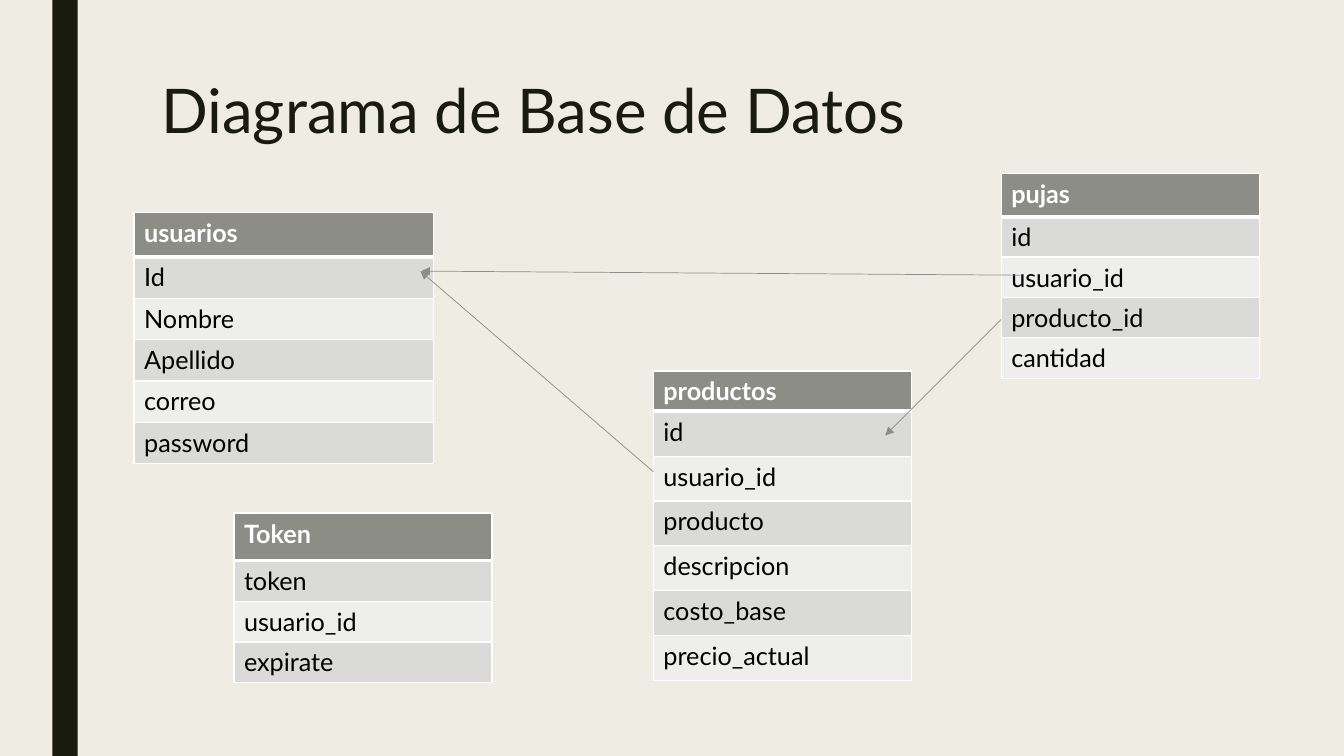
from lxml import etree
from pptx import Presentation
from pptx.dml.color import RGBColor
from pptx.enum.shapes import MSO_CONNECTOR, MSO_SHAPE
from pptx.enum.text import MSO_ANCHOR, PP_ALIGN
from pptx.oxml import parse_xml
from pptx.oxml.ns import nsdecls, qn
from pptx.util import Inches, Pt

RECT = MSO_SHAPE.RECTANGLE
STRAIGHT = MSO_CONNECTOR.STRAIGHT
TOP = MSO_ANCHOR.TOP
LEFT = PP_ALIGN.LEFT

CREAM = RGBColor(0xEF, 0xED, 0xE3)
DARK = RGBColor(0x19, 0x1B, 0x0E)
GRAY = RGBColor(0x8C, 0x8D, 0x86)
BAND = RGBColor(0xDA, 0xDB, 0xD9)
PALE = RGBColor(0xEE, 0xEE, 0xED)
WHITE = RGBColor(0xFF, 0xFF, 0xFF)
BLACK = RGBColor(0, 0, 0)
FONT = "Lato"

# left, top, width, header height, row height, header, fields
TABLES = [
    (1.33, 2.11, 2.97, 0.44, 0.41, "usuarios",
     ["Id", "Nombre", "Apellido", "correo", "password"]),
    (9.93, 1.72, 2.56, 0.43, 0.4, "pujas",
     ["id", "usuario_id", "producto_id", "cantidad"]),
    (6.48, 3.68, 2.56, 0.4, 0.445, "productos",
     ["id", "usuario_id", "producto", "descripcion", "costo_base",
      "precio_actual"]),
    (2.32, 5.09, 2.56, 0.47, 0.405, "Token",
     ["token", "usuario_id", "expirate"]),
]

# start x, start y, end x, end y
LINKS = [
    (6.48, 4.68, 4.17, 2.69),
    (9.93, 3.17, 8.78, 4.32),
    (10.12, 2.73, 4.18, 2.69),
]


def style(para, size, color, bold=False):
    for run in para.runs:
        font = run.font
        font.name, font.size, font.bold = FONT, Pt(size), bold
        font.color.rgb = color


def add_edges(cell, top, bottom):
    """Draw white borders, with the top and bottom widths in points."""
    props = cell._tc.get_or_add_tcPr()
    sides = [("L", 1), ("R", 1), ("T", top), ("B", bottom)]
    for spot, (side, width) in enumerate(sides):
        props.insert(spot, parse_xml(
            f'<a:ln{side} {nsdecls("a")} w="{Pt(width)}"><a:solidFill>'
            f'<a:srgbClr val="{WHITE}"/></a:solidFill></a:ln{side}>'))


def add_entity(slide, left, top, width, head, step, name, fields):
    """Draw one database table: a header and its banded fields."""
    rows = [name] + fields
    high = head + step * len(fields)
    frame = slide.shapes.add_table(len(rows), 1, Inches(left), Inches(top),
                                   Inches(width), Inches(high))
    table = frame.table
    table.horz_banding = False
    for i, text in enumerate(rows):
        table.rows[i].height = Inches(step if i else head)
        cell = table.cell(i, 0)
        cell.text_frame.text = text
        style(cell.text_frame.paragraphs[0], 18, BLACK if i else WHITE, i == 0)
        cell.fill.solid()
        cell.fill.fore_color.rgb = (BAND if i % 2 else PALE) if i else GRAY
        add_edges(cell, 3 if i == 1 else 1, 1 if i else 3)


def add_link(slide, x1, y1, x2, y2):
    link = slide.shapes.add_connector(STRAIGHT, Inches(x1), Inches(y1),
                                      Inches(x2), Inches(y2))
    link.line.color.rgb = GRAY
    link.line.width = Pt(0.5)
    etree.SubElement(link.line._get_or_add_ln(), qn("a:tailEnd"),
                     type="triangle")
    etree.SubElement(link._element.spPr, qn("a:effectLst"))


def add_stripe(slide, left, top, width, height):
    bar = slide.shapes.add_shape(RECT, Inches(left), Inches(top),
                                 Inches(width), Inches(height))
    bar.shadow.inherit = False
    bar.fill.solid()
    bar.fill.fore_color.rgb = DARK
    bar.line.fill.background()


def set_title(slide, left, top, width, height):
    title = slide.shapes.title
    title.left, title.top = Inches(left), Inches(top)
    title.width, title.height = Inches(width), Inches(height)
    frame = title.text_frame
    frame.text = "Diagrama de Base de Datos"
    frame.vertical_anchor = TOP
    para = frame.paragraphs[0]
    para.alignment = LEFT
    para.line_spacing = 0.89
    style(para, 44, DARK)


def main():
    deck = Presentation()
    deck.slide_width, deck.slide_height = Inches(13.33), Inches(7.5)
    slide = deck.slides.add_slide(deck.slide_layouts[5])
    slide.background.fill.solid()
    slide.background.fill.fore_color.rgb = CREAM
    add_stripe(slide, 0.52, 0, 0.25, 7.5)
    set_title(slide, 1.5, 0.75, 10.5, 1.62)
    for entity in TABLES:
        add_entity(slide, *entity)
    for link in LINKS:
        add_link(slide, *link)
    deck.save("out.pptx")


if __name__ == "__main__":
    main()
